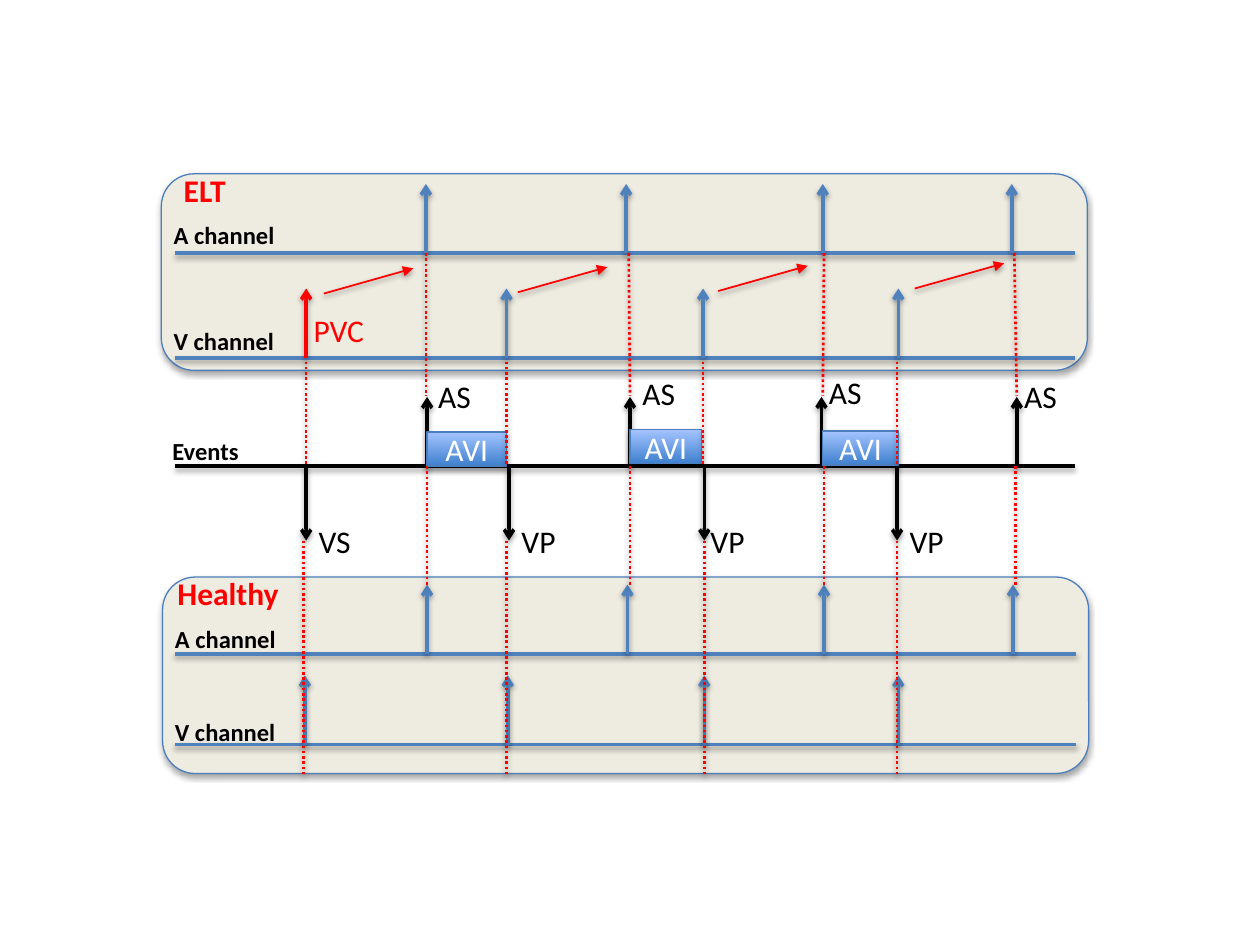
from lxml import etree
from pptx import Presentation
from pptx.dml.color import RGBColor
from pptx.enum.dml import MSO_LINE
from pptx.enum.shapes import MSO_CONNECTOR, MSO_SHAPE
from pptx.enum.text import MSO_ANCHOR, MSO_AUTO_SIZE, PP_ALIGN
from pptx.oxml.ns import qn
from pptx.util import Inches, Pt

STRAIGHT = MSO_CONNECTOR.STRAIGHT
DOTTED = MSO_LINE.ROUND_DOT
ROUNDED, RECTANGLE = MSO_SHAPE.ROUNDED_RECTANGLE, MSO_SHAPE.RECTANGLE
MIDDLE, CENTER = MSO_ANCHOR.MIDDLE, PP_ALIGN.CENTER
FIT_SHAPE = MSO_AUTO_SIZE.SHAPE_TO_FIT_TEXT
FONT = "Calibri"
COLORS = {
    "panel": "EEECE1", "outline": "4B7EBC", "signal": "4F81BD",
    "box_bottom": "3F80CE", "box_top": "A4C4FF",
    "red": "FF0000", "black": "000000", "white": "FFFFFF",
}
RGB = {name: RGBColor.from_string(value) for name, value in COLORS.items()}

# Rows: baselines of the five time axes, in inches
ELT_A, ELT_V, EVENTS, HEALTHY_A, HEALTHY_V = 2.01, 2.84, 3.7, 5.19, 5.91
AXIS_LEFT, PANEL_WIDTH, PANEL_HEIGHT = 1.39, 7.35, 1.56
PANEL_BOTTOM = 6.14
PULSE, MARKER_DOWN = 0.55, 0.59

# Columns: times of the beats on each axis, in inches
ELT_A_BEATS = [3.38, 4.97, 6.53, 8.03]
ELT_V_BEATS = [2.43, 4.02, 5.58, 7.13]
AS_BEATS = [3.39, 5, 6.52, 8.07]
VENTRICULAR_EVENTS = [2.43, 4.04, 5.59, 7.12]
HEALTHY_A_BEATS = [3.39, 4.98, 6.54, 8.04]
HEALTHY_V_BEATS = [2.42, 4.03, 5.59, 7.13]


def add_shadow(shape, opacity, distance):
    """Give a shape or connector a soft shadow falling straight down."""
    effects = etree.SubElement(shape._element.spPr, qn("a:effectLst"))
    shadow = etree.SubElement(
        effects, qn("a:outerShdw"), blurRad=str(Pt(3.1)), dist=str(Pt(distance)),
        dir="5400000", rotWithShape="0")
    color = etree.SubElement(shadow, qn("a:srgbClr"), val=COLORS["black"])
    etree.SubElement(color, qn("a:alpha"), val=str(opacity * 1000))


def add_line(start, end, color, width=2, head=None, dash=None):
    """Draw a shadowed line between two points given in inches."""
    connector = slide.shapes.add_connector(
        STRAIGHT, *(Inches(value) for value in (*start, *end)))
    connector.line.color.rgb = RGB[color]
    connector.line.width = Pt(width)
    if dash:
        connector.line.dash_style = dash
    if head:
        etree.SubElement(connector.line._get_or_add_ln(), qn("a:tailEnd"), type=head)
    add_shadow(connector, 38, 1.6)


presentation = Presentation()
presentation.slide_width, presentation.slide_height = Inches(10), Inches(7.5)
slide = presentation.slides.add_slide(presentation.slide_layouts[6])

# Panels
for left, top in [(1.29, 4.58), (1.28, 1.38)]:
    panel = slide.shapes.add_shape(
        ROUNDED, Inches(left), Inches(top), Inches(PANEL_WIDTH), Inches(PANEL_HEIGHT))
    panel.fill.solid()
    panel.fill.fore_color.rgb = RGB["panel"]
    panel.line.color.rgb = RGB["outline"]
    panel.line.width = Pt(0.75)
    add_shadow(panel, 35, 1.8)

# Time axes
for row, right, color in [
    (ELT_A, 8.53, "signal"), (ELT_V, 8.53, "signal"), (EVENTS, 8.53, "black"),
    (HEALTHY_A, 8.54, "signal"), (HEALTHY_V, 8.54, "signal"),
]:
    add_line((AXIS_LEFT, row), (right, row), color)

# Beats and event markers
for row, beats, rise, color in [
    (ELT_V, ELT_V_BEATS[:1], PULSE, "red"),
    (ELT_V, ELT_V_BEATS[1:], PULSE, "signal"),
    (ELT_A, ELT_A_BEATS, PULSE, "signal"),
    (EVENTS, AS_BEATS, PULSE, "black"),
    (EVENTS, VENTRICULAR_EVENTS, -MARKER_DOWN, "black"),
    (HEALTHY_A, HEALTHY_A_BEATS, PULSE, "signal"),
    (HEALTHY_V, HEALTHY_V_BEATS, PULSE, "signal"),
]:
    for beat in beats:
        add_line((beat, row), (beat, row - rise), color, head="arrow")

# AVI intervals
for left, top, width in [(3.39, 3.43, 0.63), (5, 3.41, 0.57), (6.53, 3.42, 0.6)]:
    interval = slide.shapes.add_shape(
        RECTANGLE, Inches(left), Inches(top), Inches(width), Inches(0.27))
    interval.fill.gradient()
    interval.fill.gradient_angle = 90
    for stop, position, color in zip(
            interval.fill.gradient_stops, (0, 1), ("box_bottom", "box_top")):
        stop.position = position
        stop.color.rgb = RGB[color]
    interval.line.color.rgb = RGB["outline"]
    interval.line.width = Pt(0.75)
    add_shadow(interval, 35, 1.8)
    interval.text_frame.text = "AVI"
    interval.text_frame.vertical_anchor = MIDDLE
    paragraph = interval.text_frame.paragraphs[0]
    paragraph.alignment = CENTER
    font = paragraph.runs[0].font
    font.name, font.size, font.color.rgb = FONT, Pt(18), RGB["white"]

# Dotted guides: top, bottom, then (upper x, lower x) of each
for top, bottom, columns in [
    (ELT_A, 3.14, [(3.38, 3.38), (4.99, 5), (6.54, 6.53), (8.05, 8.07)]),
    (2.87, EVENTS, [(x, x) for x in (2.43, 4.02, 5.58, 7.12)]),
    (EVENTS, 4.65, [(x, x) for x in (3.39, 5, 6.54, 8.06)]),
    (4.29, PANEL_BOTTOM, [(x, x) for x in (2.41, 4.02, 5.59, 7.12)]),
]:
    for upper, lower in columns:
        add_line((upper, top), (lower, bottom), "red", 1.5, dash=DOTTED)

# Retrograde conduction arrows
for left, top in [(2.57, 2.33), (4.11, 2.32), (5.7, 2.31), (7.26, 2.29)]:
    add_line((left, top), (left + 0.71, top - 0.2), "red", 1, head="triangle")

# Labels: text, left, top, width, size, colour, bold
for text, left, top, width, size, color, bold in [
    ("VS", 2.43, 4.09, 0.46, 18, "black", False),
    *[("AS", x, y, 0.46, 18, "black", False)
      for x, y in [(3.38, 2.94), (5, 2.92), (6.48, 2.91), (8.03, 2.94)]],
    *[("VP", x, 4.09, 0.48, 18, "black", False) for x in (4.04, 5.54, 7.12)],
    ("PVC", 2.39, 2.42, 0.61, 18, "red", False),
    ("ELT", 1.36, 1.31, 0.54, 18, "red", True),
    ("Healthy", 1.31, 4.51, 1.01, 18, "red", True),
    ("A channel", 1.28, 1.7, 1.01, 14, "black", True),
    ("V channel", 1.28, 2.54, 1.01, 14, "black", True),
    ("Events", 1.27, 3.41, 0.73, 14, "black", True),
    ("A channel", 1.29, 4.9, 1.01, 14, "black", True),
    ("V channel", 1.29, 5.64, 1.01, 14, "black", True),
]:
    height = 0.4 if size == 18 else 0.34
    label = slide.shapes.add_textbox(
        Inches(left), Inches(top), Inches(width), Inches(height))
    label.text_frame.text = text
    label.text_frame.word_wrap = False
    label.text_frame.auto_size = FIT_SHAPE
    font = label.text_frame.paragraphs[0].runs[0].font
    font.name, font.size, font.bold = FONT, Pt(size), bold
    font.color.rgb = RGB[color]

presentation.save("out.pptx")
